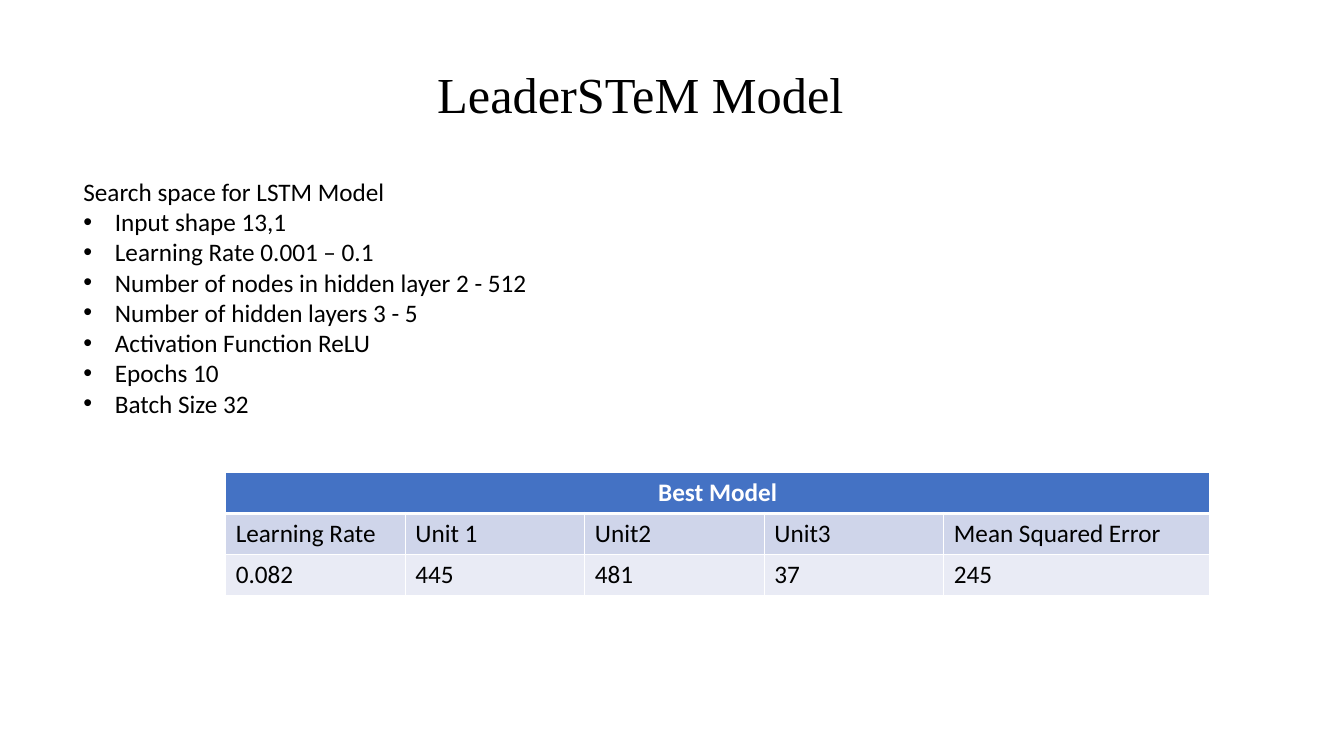
from dataclasses import dataclass

from lxml.etree import SubElement
from pptx import Presentation
from pptx.dml.color import RGBColor
from pptx.enum.text import MSO_ANCHOR, MSO_AUTO_SIZE, PP_ALIGN
from pptx.oxml.ns import qn
from pptx.util import Emu, Pt

EMU_PER_PX = 9525
BULLET_INDENT = 30
ROW_HEIGHT = 39
COLUMN_WIDTHS = [171] * 4 + [253]

BLACK = "000000"
WHITE = "FFFFFF"

TITLE_FONT = {"name": "Times New Roman", "size": Pt(36)}
BODY_FONT = {"name": "Calibri", "size": Pt(18), "bold": False}
HEADER_FONT = {**BODY_FONT, "bold": True}


@dataclass(frozen=True)
class Line:
    text: str
    bulleted: bool = False


@dataclass(frozen=True)
class TextBlock:
    left: int
    top: int
    width: int
    height: int
    lines: list[Line]
    font: dict
    paragraph_format: dict
    frame_format: dict


@dataclass(frozen=True)
class TableRow:
    texts: list[str]
    fill: str
    color: str
    font: dict
    paragraph_format: dict
    bottom_border: int = 1


TEXT_BLOCKS = [
    TextBlock(
        130, 47, 960, 92,
        [Line("LeaderSTeM Model")],
        TITLE_FONT,
        {"alignment": PP_ALIGN.CENTER, "line_spacing": 0.9},
        {"vertical_anchor": MSO_ANCHOR.MIDDLE},
    ),
    TextBlock(
        70, 163, 539, 272,
        [
            Line("Search space for LSTM Model"),
            Line("Input shape 13,1", True),
            Line("Learning Rate 0.001 – 0.1", True),
            Line("Number of nodes in hidden layer 2 - 512", True),
            Line("Number of hidden layers 3 - 5", True),
            Line("Activation Function ReLU", True),
            Line("Epochs 10", True),
            Line("Batch Size 32", True),
        ],
        BODY_FONT,
        {},
        {"auto_size": MSO_AUTO_SIZE.SHAPE_TO_FIT_TEXT},
    ),
]

TABLE_ROWS = [
    TableRow(["Best Model"], "4472C4", WHITE, HEADER_FONT, {"alignment": PP_ALIGN.CENTER}, 3),
    TableRow(
        ["Learning Rate", "Unit 1", "Unit2", "Unit3", "Mean Squared Error"],
        "CFD5EA", BLACK, BODY_FONT, {},
    ),
    TableRow(["0.082", "445", "481", "37", "245"], "E9EBF5", BLACK, BODY_FONT, {}),
]


def px(length: int) -> Emu:
    return Emu(length * EMU_PER_PX)


def rgb(color: str) -> RGBColor:
    return RGBColor.from_string(color)


def set_attributes(target, values: dict) -> None:
    for name, value in values.items():
        setattr(target, name, value)


def write_text(paragraph, text: str, font: dict, color: str, paragraph_format: dict) -> None:
    set_attributes(paragraph, paragraph_format)
    run = paragraph.add_run()
    run.text = text
    set_attributes(run.font, font)
    run.font.color.rgb = rgb(color)


def add_bullet(paragraph) -> None:
    properties = paragraph._p.get_or_add_pPr()
    properties.set("marL", str(px(BULLET_INDENT)))
    properties.set("indent", str(-px(BULLET_INDENT)))
    SubElement(properties, qn("a:buFont"), typeface="Arial")
    SubElement(properties, qn("a:buChar"), char="•")


def add_text_block(slide, block: TextBlock) -> None:
    shape = slide.shapes.add_textbox(px(block.left), px(block.top), px(block.width), px(block.height))
    text_frame = shape.text_frame
    set_attributes(text_frame, {"word_wrap": True, **block.frame_format})
    for index, line in enumerate(block.lines):
        paragraph = text_frame.add_paragraph() if index else text_frame.paragraphs[0]
        write_text(paragraph, line.text, block.font, BLACK, block.paragraph_format)
        if line.bulleted:
            add_bullet(paragraph)


def add_borders(cell, top: int, bottom: int) -> None:
    properties = cell._tc.get_or_add_tcPr()
    for tag, points in {"a:lnL": 1, "a:lnR": 1, "a:lnT": top, "a:lnB": bottom}.items():
        border = SubElement(properties, qn(tag), w=str(Pt(points)))
        SubElement(SubElement(border, qn("a:solidFill")), qn("a:srgbClr"), val=WHITE)


def add_best_model_table(slide, left: int, top: int) -> None:
    table = slide.shapes.add_table(
        len(TABLE_ROWS), len(COLUMN_WIDTHS), px(left), px(top),
        px(sum(COLUMN_WIDTHS)), px(ROW_HEIGHT * len(TABLE_ROWS)),
    ).table
    for column, width in zip(table.columns, COLUMN_WIDTHS):
        column.width = px(width)
    table.cell(0, 0).merge(table.cell(0, len(COLUMN_WIDTHS) - 1))

    top_border = 1
    for row, content in zip(table.rows, TABLE_ROWS):
        row.height = px(ROW_HEIGHT)
        for cell in row.cells:
            add_borders(cell, top_border, content.bottom_border)
            cell.fill.solid()
            cell.fill.fore_color.rgb = rgb(content.fill)
        for cell, text in zip(row.cells, content.texts):
            paragraph = cell.text_frame.paragraphs[0]
            write_text(paragraph, text, content.font, content.color, content.paragraph_format)
        top_border = content.bottom_border


def main() -> None:
    presentation = Presentation()
    set_attributes(presentation, {"slide_width": px(1280), "slide_height": px(720)})
    slide = presentation.slides.add_slide(presentation.slide_layouts[6])
    for block in TEXT_BLOCKS:
        add_text_block(slide, block)
    add_best_model_table(slide, 215, 450)
    presentation.save("out.pptx")


if __name__ == "__main__":
    main()
